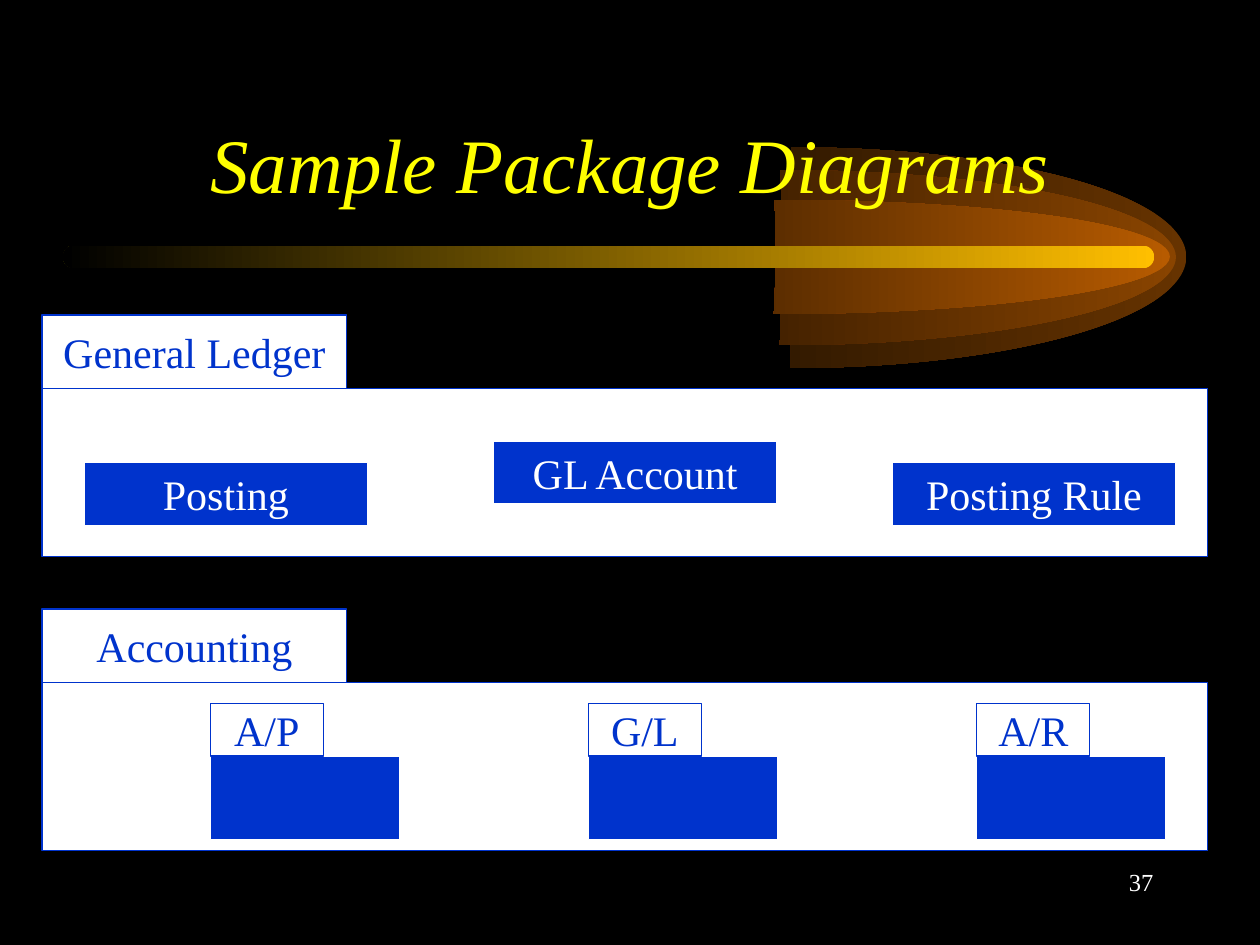
from lxml import etree
from pptx import Presentation
from pptx.dml.color import RGBColor
from pptx.enum.shapes import MSO_SHAPE
from pptx.enum.text import MSO_ANCHOR, PP_ALIGN
from pptx.oxml.ns import qn
from pptx.util import Cm, Pt

RECT, ROUND = MSO_SHAPE.RECTANGLE, MSO_SHAPE.ROUNDED_RECTANGLE
MID, TOP = MSO_ANCHOR.MIDDLE, MSO_ANCHOR.TOP
CENTER, RIGHT = PP_ALIGN.CENTER, PP_ALIGN.RIGHT
FONT = "Times New Roman"
HEX = {
    "black": "000000", "white": "FFFFFF", "blue": "0033CC", "yellow": "FFFF00",
    "gold": "FFBF00", "brown": "663300", "rust": "894400", "orange": "B75B00",
}
# Right half of an oval, in thousandths of its box
HALF = (
    ("moveTo", [(498, 0)]),
    ("cubicBezTo", [(677, 0), (844, 92), (933, 248)]),
    ("cubicBezTo", [(1022, 403), (1021, 595), (931, 750)]),
    ("cubicBezTo", [(842, 903), (677, 1000), (497, 1000)]),
    ("lnTo", [(500, 500)]),
    ("close", []),
)


def color(name):
    return RGBColor.from_string(HEX[name])


def write(shape, text, size, ink, align=CENTER, anchor=MID, italic=False, wrap=False):
    frame = shape.text_frame
    frame.text = text
    frame.word_wrap = wrap
    frame.vertical_anchor = anchor
    para = frame.paragraphs[0]
    para.alignment = align
    font = para.runs[0].font
    font.name, font.size, font.italic = FONT, Pt(size), italic
    font.color.rgb = color(ink)


def label(slide, box, text, size, ink, **style):
    shape = slide.shapes.add_textbox(*map(Cm, box))
    write(shape, text, size, ink, wrap=True, **style)


def block(slide, box, fill, edge, text=""):
    shape = slide.shapes.add_shape(RECT, *map(Cm, box))
    shape.shadow.inherit = False
    shape.fill.solid()
    shape.fill.fore_color.rgb = color(fill)
    shape.line.color.rgb = color(edge)
    shape.line.width = Pt(0.75)
    if text:
        write(shape, text, 24, edge)


def package(slide, x, y, tab, body, fill, edge, name):
    """Body with a white name tab standing on its top left corner."""
    block(slide, (x, y + tab[1], *body), fill, edge)
    block(slide, (x, y, *tab), "white", "blue", name)


def fade(shape, head):
    shape.shadow.inherit = False
    shape.line.fill.background()
    shape.fill.gradient()
    shape.fill.gradient_angle = 180
    for stop, name in zip(shape.fill.gradient_stops, (head, "black")):
        stop.color.rgb = color(name)


def comet(slide, x, y, wide, high, name):
    """Oval box whose right half is drawn with curves."""
    pen = slide.shapes.build_freeform(Cm(x), Cm(y))
    pen.add_line_segments([(Cm(x + wide), Cm(y)), (Cm(x + wide), Cm(y + high)),
                           (Cm(x), Cm(y + high))])
    shape = pen.convert_to_shape()
    curve = next(shape.element.iter(qn("a:path")))
    for old in list(curve):
        curve.remove(old)
    curve.set("w", "1000")
    curve.set("h", "1000")
    for kind, points in HALF:
        part = etree.SubElement(curve, qn("a:" + kind))
        for px, py in points:
            etree.SubElement(part, qn("a:pt"), x=str(px), y=str(py))
    fade(shape, name)


def main():
    deck = Presentation()
    deck.slide_width, deck.slide_height = Cm(25.4), Cm(19.05)
    slide = deck.slides.add_slide(deck.slide_layouts[6])
    slide.background.fill.solid()
    slide.background.fill.fore_color.rgb = color("black")

    # Comet and its bar
    for x, y, high, name in ((8.03, 2.97, 4.45, "brown"), (7.82, 3.43, 3.53, "rust"),
                             (7.7, 4.03, 2.3, "orange")):
        comet(slide, x, y, 15.9, high, name)
    bar = slide.shapes.add_shape(ROUND, Cm(1.27), Cm(4.95), Cm(22), Cm(0.46))
    bar.adjustments[0] = 0.5
    fade(bar, "gold")

    # Title
    label(slide, (1.9, 1.7, 21.6, 3.18), "Sample Package Diagrams", 44, "yellow",
          italic=True)

    # Large packages
    for y, name in ((6.35, "General Ledger"), (12.28, "Accounting")):
        package(slide, 0.85, y, (6.14, 1.48), (23.5, 3.39), "white", "blue", name)

    # Classes of the ledger
    for x, y, name in ((1.7, 9.32, "Posting"), (17.99, 9.32, "Posting Rule"),
                       (9.95, 8.89, "GL Account")):
        block(slide, (x, y, 5.71, 1.27), "blue", "white", name)

    # Packages within accounting
    for x, name in ((4.24, "A/P"), (11.86, "G/L"), (19.69, "A/R")):
        package(slide, x, 14.18, (2.28, 1.06), (3.81, 1.69), "blue", "white", name)

    # Slide number
    label(slide, (18.2, 17.36, 5.3, 1.27), "37", 14, "white", align=RIGHT, anchor=TOP)

    deck.save("out.pptx")


if __name__ == "__main__":
    main()
